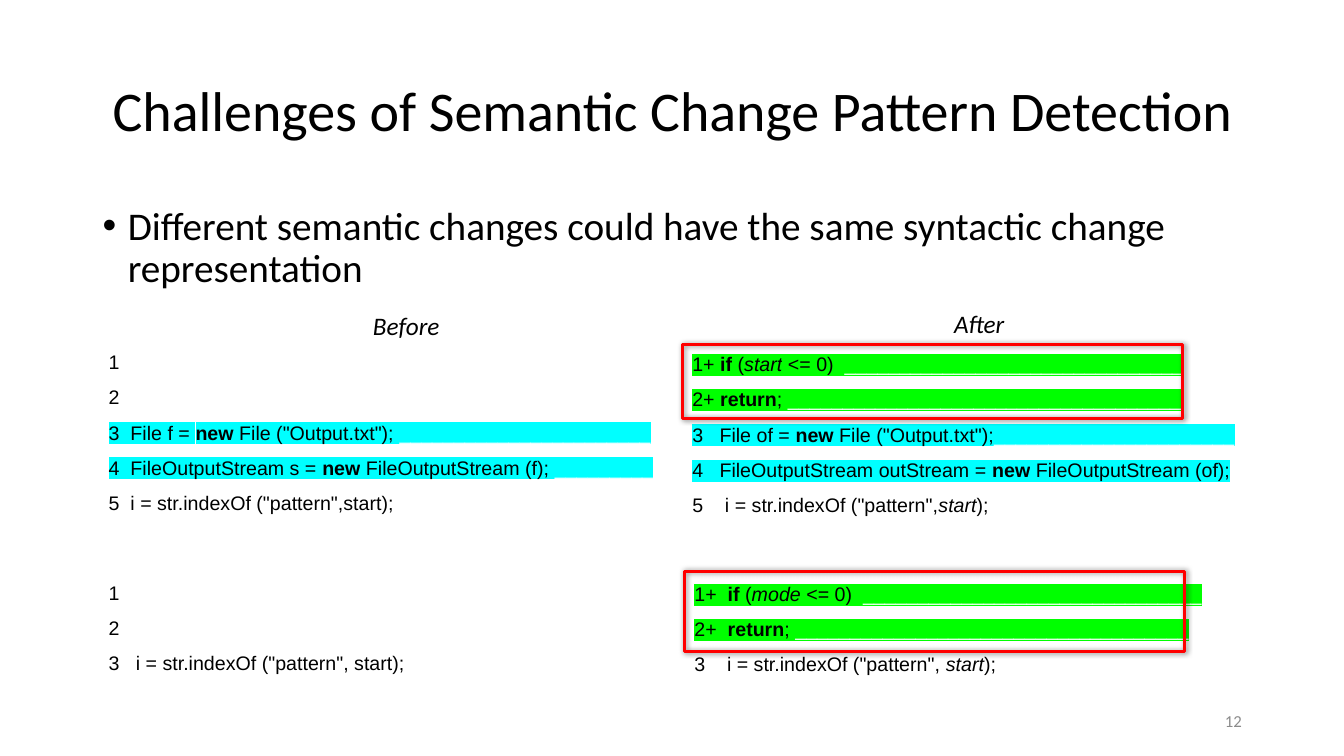
from lxml import etree
from pptx import Presentation
from pptx import util as u
from pptx.dml.color import RGBColor
from pptx.enum import shapes, text
from pptx.oxml import ns

COLORS = {"black": "000000", "white": "FFFFFF", "gray": "8C8C8C",
          "red": "FF0000", "added": "00FF00", "shared": "00FFFF"}
BOLD, ITALIC = {"bold": True}, {"italic": True}
SPACED = {"spacing": 0.9, "before": 10}
CODE = {"font": "Arial", "size": 14, **SPACED}


def sub(parent, tag, **attrs):
    return etree.SubElement(parent, ns.qn(tag), attrs)


def filler(count):
    """Underscores that stretch a highlighted line to the right."""
    return "_" * count, {"color": "white"}


def add_run(p, words, font="Calibri", size=18, color="black", bold=False,
            italic=False, highlight=None):
    r = p.add_run()
    r.text = words
    f = r.font
    f.name, f.size, f.bold, f.italic = font, u.Pt(size), bold, italic
    f.color.rgb = RGBColor.from_string(COLORS[color])
    if highlight:
        mark = etree.Element(ns.qn("a:highlight"))
        sub(mark, "a:srgbClr", val=COLORS[highlight])
        r._r.rPr.find(ns.qn("a:solidFill")).addnext(mark)


class Deck:
    def __init__(self):
        self.prs = Presentation()
        self.prs.slide_width, self.prs.slide_height = u.Pt(960), u.Pt(540)
        self.s = self.prs.slides.add_slide(self.prs.slide_layouts[6])

    def text_box(self, box, lines, align="LEFT", anchor="TOP", spacing=None,
                 before=0, bullet=False, **style):
        """Each line is a highlight followed by strings or (string, format) pairs."""
        tf = self.s.shapes.add_textbox(*map(u.Pt, box)).text_frame
        tf.word_wrap = True
        tf.vertical_anchor = text.MSO_ANCHOR[anchor]
        for i, (highlight, *parts) in enumerate(lines):
            p = tf.add_paragraph() if i else tf.paragraphs[0]
            p.alignment = text.PP_ALIGN[align]
            p.line_spacing, p.space_before = spacing, u.Pt(before)
            if bullet:
                pPr = p._p.get_or_add_pPr()
                pPr.set("marL", str(u.Pt(18)))
                pPr.set("indent", str(-u.Pt(18)))
                sub(pPr, "a:buFont", typeface="Arial")
                sub(pPr, "a:buChar", char="•")
            for part in parts:
                words, extra = (part, {}) if isinstance(part, str) else part
                add_run(p, words, **{**style, "highlight": highlight, **extra})

    def frame(self, box):
        sp = self.s.shapes.add_shape(shapes.MSO_SHAPE.RECTANGLE, *map(u.Pt, box))
        sp.fill.background()
        sp.line.color.rgb = RGBColor.from_string(COLORS["red"])
        sp.line.width = u.Pt(2.25)
        sp.shadow.inherit = False
        effects = sp._element.spPr.find(ns.qn("a:effectLst"))
        shadow = sub(effects, "a:outerShdw", blurRad=str(u.Pt(4)),
                     dist=str(u.Pt(1)), dir="0", rotWithShape="0")
        sub(sub(shadow, "a:srgbClr", val=COLORS["black"]), "a:alpha", val="50000")


def guard(gap, variable):
    """The two added lines that return early when the variable is not positive."""
    return [("added", "1+" + gap, ("if", BOLD), " (", (variable, ITALIC),
             " <= 0)  ", filler(31)),
            ("added", "2+" + gap, ("return", BOLD), "; ", filler(36))]


def main():
    deck = Deck()
    deck.text_box((66.24, 28.8, 828, 104.4),
                  [(None, "Challenges of Semantic Change Pattern Detection")],
                  align="CENTER", anchor="MIDDLE", spacing=0.9, size=40)
    deck.text_box((66.24, 144, 828, 87.84),
                  [(None, "Different semantic changes could have the same "
                          "syntactic change representation")],
                  bullet=True, size=28, **SPACED)
    deck.text_box((678.24, 500.4, 216, 28.8), [(None, "12")], align="RIGHT",
                  anchor="MIDDLE", size=12, color="gray")

    for words, box in (("Before", (70.56, 218.16, 439.2, 28.08)),
                       ("After", (509.76, 216.72, 379.44, 28.08))):
        deck.text_box(box, [(None, words)], align="CENTER", italic=True)

    unchanged = [(None, "1"), (None, "2")]
    new = ("new", BOLD)
    start = ("start", ITALIC)
    deck.text_box((70.56, 248.4, 416.88, 124.56), unchanged + [
        ("shared", "3  File f = ", new, ' File ("Output.txt"); ', filler(23)),
        ("shared", "4  FileOutputStream s = ", new,
         " FileOutputStream (f); ", filler(9)),
        (None, '5  i = str.indexOf ("pattern",start);')], **CODE)
    deck.text_box((487.44, 249.84, 401.76, 123.12), guard(" ", "start") + [
        ("shared", "3   File of = ", new, ' File ("Output.txt");', filler(22)),
        ("shared", "4   FileOutputStream outStream = ", new,
         " FileOutputStream (of);"),
        (None, '5    i = str.indexOf ("pattern",', start, ");")], **CODE)
    deck.text_box((70.56, 413.28, 398.16, 98.64), unchanged + [
        (None, '3   i = str.indexOf ("pattern", start);')], **CODE)
    deck.text_box((488.88, 414, 378, 97.2), guard("  ", "mode") + [
        (None, '3    i = str.indexOf ("pattern", ', start, ");")], **CODE)

    deck.frame((487.44, 246.24, 357.12, 52.56))
    deck.frame((488.88, 408.24, 357.12, 56.88))
    deck.prs.save("out.pptx")


if __name__ == "__main__":
    main()
